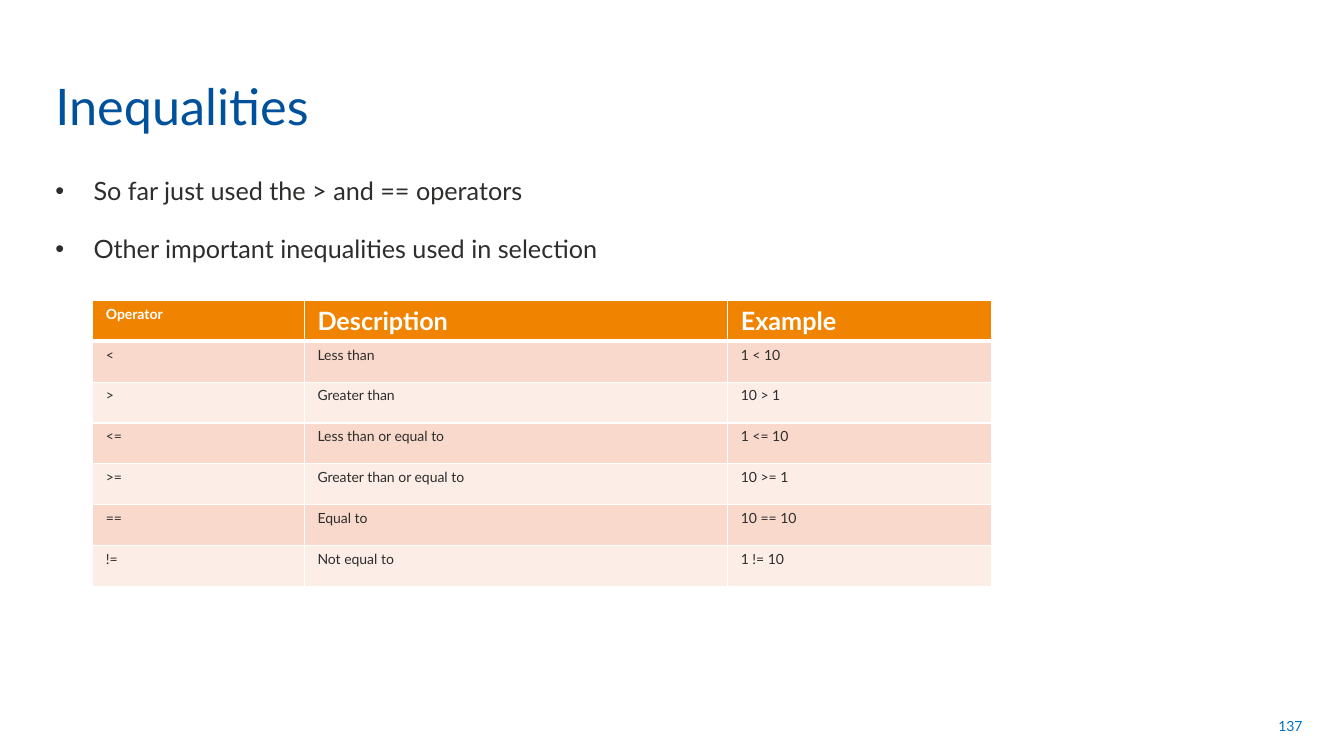
from lxml.etree import SubElement
from pptx import Presentation
from pptx.dml.color import RGBColor
from pptx.enum.text import MSO_ANCHOR as Anchor, MSO_AUTO_SIZE as AutoSize, PP_ALIGN as Align
from pptx.oxml.ns import qn
from pptx.util import Pt

FONT = "Lato"
INK, WHITE, ORANGE = "2E2D2C", "FFFFFF", "F08300"
BANDS = ("F9D9CC", "FCEDE7")
BULLETS = (
    "So far just used the > and == operators",
    "Other important inequalities used in selection",
)
OPERATORS = (
    ("Operator", "Description", "Example"),
    ("<", "Less than", "1 < 10"),
    (">", "Greater than", "10 > 1"),
    ("<=", "Less than or equal to", "1 <= 10"),
    (">=", "Greater than or equal to", "10 >= 1"),
    ("==", "Equal to", "10 == 10"),
    ("!=", "Not equal to", "1 != 10"),
)
COLUMN_WIDTHS = (151.2, 302.4, 188.64)


def color(code):
    return RGBColor.from_string(code)


def write(para, text, size=10, ink=INK, bold=False, align=Align.LEFT):
    para.alignment = align
    span = para.add_run()
    span.text = text
    span.font.name = FONT
    span.font.size = Pt(size)
    span.font.bold = bold
    span.font.color.rgb = color(ink)


def place(shape, box, anchor):
    shape.left, shape.top, shape.width, shape.height = map(Pt, box)
    frame = shape.text_frame
    frame.word_wrap = True
    frame.auto_size = AutoSize.NONE
    frame.vertical_anchor = anchor
    return frame


def add_title(page, box, text):
    frame = place(page.shapes.title, box, Anchor.BOTTOM)
    write(frame.paragraphs[0], text, size=36, ink="00519C")


def add_bullets(page, box, lines, indent=27.2):
    frame = place(page.placeholders[1], box, Anchor.TOP)
    for index, line in enumerate(lines):
        para = frame.add_paragraph() if index else frame.paragraphs[0]
        para.space_before = para.space_after = Pt(10)
        write(para, line, size=18)
        properties = para._p.get_or_add_pPr()
        properties.set("marL", str(Pt(indent)))
        properties.set("indent", str(-Pt(indent)))
        SubElement(properties, qn("a:buFont"), typeface="Arial")
        SubElement(properties, qn("a:buChar"), char="•")


def add_border(cell, side, width):
    line = SubElement(cell._tc.get_or_add_tcPr(), qn(f"a:ln{side}"), w=str(Pt(width)))
    fill = SubElement(line, qn("a:solidFill"))
    SubElement(fill, qn("a:srgbClr"), val=WHITE)


def fill_cell(cell, text, row, column):
    header = row == 0
    cell.margin_left = cell.margin_right = Pt(9.4)
    cell.margin_top = cell.margin_bottom = Pt(3.6)
    for side in "LRTB":
        under_header = (row, side) in ((0, "B"), (1, "T"))
        add_border(cell, side, 3 if under_header else 1)
    cell.fill.solid()
    cell.fill.fore_color.rgb = color(ORANGE if header else BANDS[(row - 1) % 2])
    write(
        cell.text_frame.paragraphs[0],
        text,
        size=18 if header and column else 10,
        ink=WHITE if header else INK,
        bold=header,
    )


def add_operator_table(page, box, rows, widths):
    table = page.shapes.add_table(len(rows), len(widths), *map(Pt, box)).table
    for column, width in zip(table.columns, widths):
        column.width = Pt(width)
    for row, texts in enumerate(rows):
        table.rows[row].height = Pt(box[3] / len(rows))
        for column, text in enumerate(texts):
            fill_cell(table.cell(row, column), text, row, column)


def add_page_number(page, box, number):
    frame = place(page.shapes.add_textbox(*map(Pt, box)), box, Anchor.MIDDLE)
    write(frame.paragraphs[0], number, ink="0070C0", align=Align.RIGHT)


def main():
    deck = Presentation()
    deck.slide_width, deck.slide_height = Pt(960), Pt(540)
    page = deck.slides.add_slide(deck.slide_layouts[1])
    add_page_number(page, (713.5, 504, 224, 28.8), "137")
    add_bullets(page, (32.4, 121.7, 897.8, 357.8), BULLETS)
    add_title(page, (32.4, 10.1, 718.6, 90.7), "Inequalities")
    table_box = (66.24, 214.56, sum(COLUMN_WIDTHS), 204.4)
    add_operator_table(page, table_box, OPERATORS, COLUMN_WIDTHS)
    deck.save("out.pptx")


if __name__ == "__main__":
    main()
